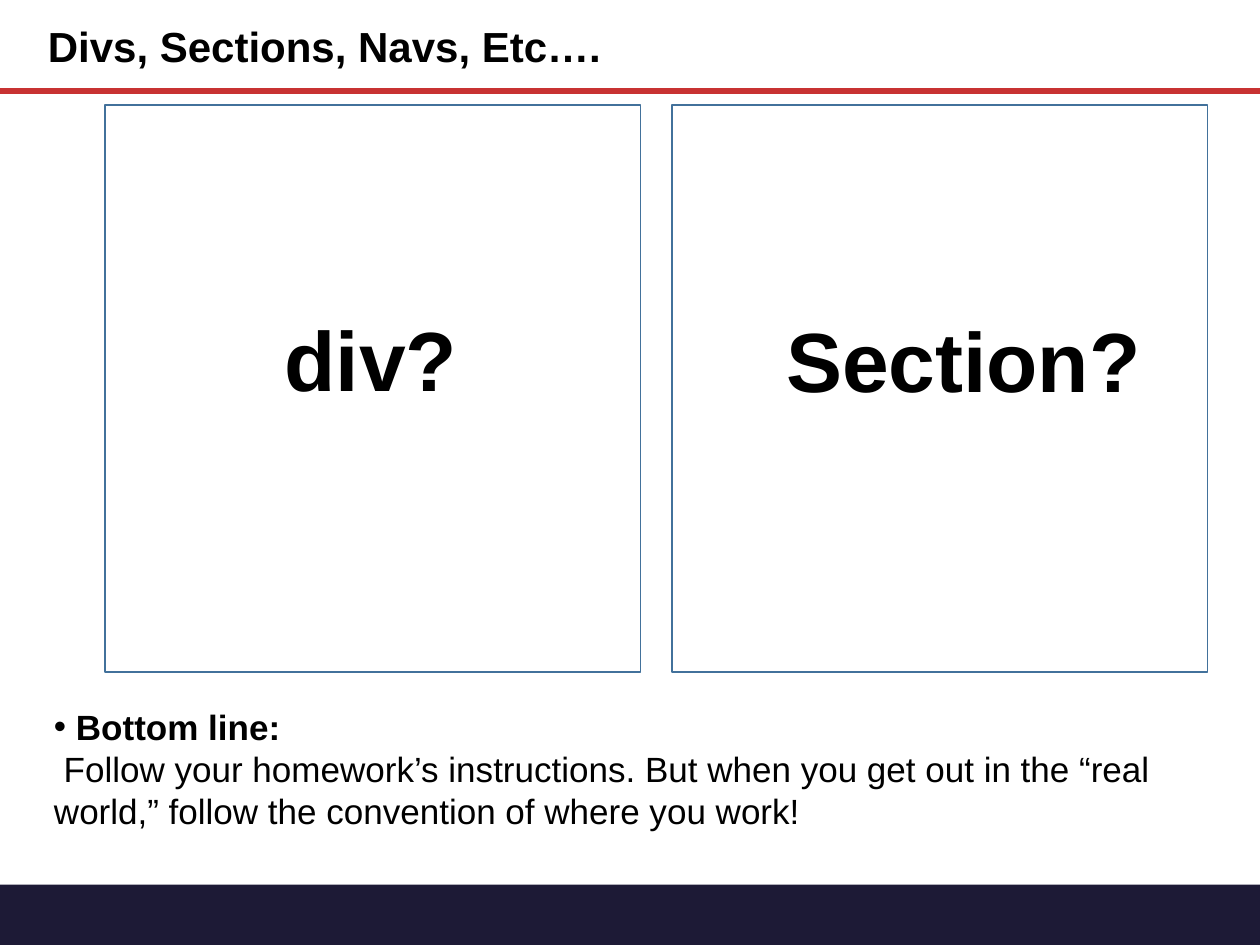
"""Build the slide that compares div and section, with a bottom-line note."""
from lxml import etree
from pptx import Presentation, util as u
from pptx.dml.color import RGBColor
from pptx.enum import shapes, text
from pptx.oxml.ns import qn

COLORS = {"ink": "000000", "band": "1D1A36", "rule": "C83232", "frame": "42719B"}
FONT = "Arial"

deck = Presentation()
deck.slide_width, deck.slide_height = u.Inches(10), u.Inches(7.5)
slide = deck.slides.add_slide(deck.slide_layouts[6])
col, row = deck.slide_width / 12, deck.slide_height / 9


def add_panel(left, top, width, height):
    panel = slide.shapes.add_shape(
        shapes.MSO_SHAPE.RECTANGLE, *map(int, (left, top, width, height)))
    panel.shadow.inherit = False
    return panel


def add_text(left, top, width, height, lines, size, inset=0.05, wrap=True):
    box = slide.shapes.add_textbox(*map(u.Inches, (left, top, width, height)))
    frame = box.text_frame
    frame.word_wrap = wrap
    frame.auto_size = text.MSO_AUTO_SIZE.SHAPE_TO_FIT_TEXT
    frame.margin_left = frame.margin_right = u.Inches(inset)
    frame.margin_top = frame.margin_bottom = u.Inches(inset)
    frame.text = "\n".join(lines)
    for index, paragraph in enumerate(frame.paragraphs):
        font = paragraph.runs[0].font
        font.name, font.size, font.bold = FONT, u.Pt(size), index == 0
        font.color.rgb = RGBColor.from_string(COLORS["ink"])
    return frame


footer = add_panel(0, 7.02 * u.Inches(1), deck.slide_width, u.Inches(0.48))
footer.fill.solid()
footer.fill.fore_color.rgb = RGBColor.from_string(COLORS["band"])
footer.line.fill.background()

rule_top = u.Inches(0.72)
title_rule = slide.shapes.add_connector(
    shapes.MSO_CONNECTOR.STRAIGHT, 0, rule_top, deck.slide_width, rule_top)
title_rule.line.color.rgb = RGBColor.from_string(COLORS["rule"])
title_rule.line.width = u.Pt(3.25)
etree.SubElement(title_rule._element.spPr, qn("a:effectLst"))

add_text(0.33, 0.11, 6.25, 0.48, ["Divs, Sections, Navs, Etc…."], 24)

bottom_line = add_text(0.33, 5.5, 9.55, 1.15, [
    " Bottom line:",
    " Follow your homework’s instructions. But when you get out in the “real world,” "
    "follow the convention of where you work!",
], 20, inset=0.1)
bullet_props = bottom_line.paragraphs[0]._p.get_or_add_pPr()
etree.SubElement(bullet_props, qn("a:buFont"), typeface=FONT)
etree.SubElement(bullet_props, qn("a:buChar"), char="•")

for start in (1, 6.4):
    choice = add_panel(start * col, row, 5.1 * col, 5.4 * row)
    choice.fill.background()
    choice.line.color.rgb = RGBColor.from_string(COLORS["frame"])
    choice.line.width = u.Pt(1)

for label, left, top, width in (("div?", 2.21, 2.39, 1.48), ("Section?", 6.19, 2.4, 2.93)):
    add_text(left, top, width, 0.84, [label], 48, wrap=False)

deck.save("out.pptx")
